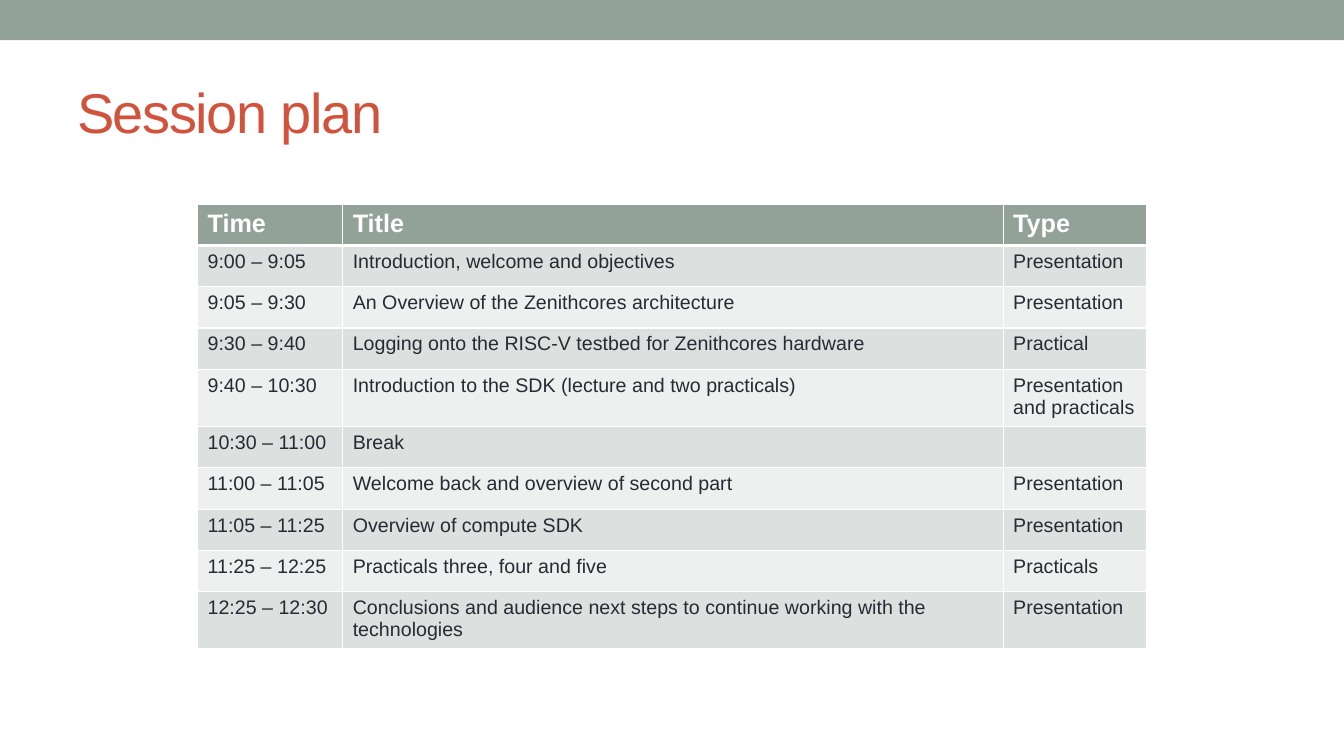
from lxml.etree import fromstring
from pptx import Presentation
from pptx.dml.color import RGBColor
from pptx.enum.shapes import MSO_SHAPE
from pptx.enum.text import MSO_ANCHOR
from pptx.util import Inches, Pt

WIDE, HIGH = Inches(13.33), Inches(7.5)
SPACE = "http://schemas.openxmlformats.org/drawingml/2006/main"
SAGE, RUST, INK, WHITE = "93A299", "D2533C", "292934", "FFFFFF"
BANDS = ["DCE0DE", "EEF0EF"]
COLS = [1.44, 6.55, 1.42]
ROW = 0.41
TITLE = {"size": Pt(40), "name": "Arial", "bold": False}
HEAD = {"size": Pt(18), "name": "Arial", "bold": True}
BODY = {"size": Pt(14), "name": "Arial", "bold": False}
PLAN = [
    ("Time", "Title", "Type"),
    ("9:00 – 9:05", "Introduction, welcome and objectives", "Presentation"),
    ("9:05 – 9:30", "An Overview of the Zenithcores architecture", "Presentation"),
    ("9:30 – 9:40", "Logging onto the RISC-V testbed for Zenithcores hardware", "Practical"),
    ("9:40 – 10:30", "Introduction to the SDK (lecture and two practicals)",
     "Presentation and practicals"),
    ("10:30 – 11:00", "Break", ""),
    ("11:00 – 11:05", "Welcome back and overview of second part", "Presentation"),
    ("11:05 – 11:25", "Overview of compute SDK", "Presentation"),
    ("11:25 – 12:25", "Practicals three, four and five", "Practicals"),
    ("12:25 – 12:30",
     "Conclusions and audience next steps to continue working with the technologies",
     "Presentation"),
]


def paint(part, tone):
    part.fill.solid()
    part.fill.fore_color.rgb = RGBColor.from_string(tone)


def place(left, top, width, height):
    return int(left * WIDE), int(top * HIGH), int(width * WIDE), int(height * HIGH)


def write(frame, text, style, tone):
    para = frame.paragraphs[0]
    font = para.font
    if text:
        run = para.add_run()
        run.text = text
        font = run.font
    for key, value in style.items():
        setattr(font, key, value)
    font.color.rgb = RGBColor.from_string(tone)
    return font


def add_band(slide):
    band = slide.shapes.add_shape(MSO_SHAPE.RECTANGLE, *place(0, 0, 1, 0.053))
    band.shadow.inherit = False
    paint(band, SAGE)
    band.line.fill.background()


def add_title(slide, text):
    frame = slide.shapes.add_textbox(*place(0.05, 0.077, 0.9, 0.139)).text_frame
    frame.word_wrap = True
    frame.vertical_anchor = MSO_ANCHOR.MIDDLE
    font = write(frame, text, TITLE, RUST)
    font._element.set("spc", "-100")


def add_rules(cell, widths):
    props = cell._tc.get_or_add_tcPr()
    for spot, (side, width) in enumerate(widths.items()):
        rule = fromstring(
            f'<a:ln{side} xmlns:a="{SPACE}" w="{Pt(width)}"><a:solidFill>'
            f'<a:srgbClr val="{WHITE}"/></a:solidFill></a:ln{side}>')
        props.insert(spot, rule)


def add_plan(slide):
    area = place(0.147, 0.27, sum(COLS) / 13.33, ROW * len(PLAN) / 7.5)
    table = slide.shapes.add_table(len(PLAN), len(COLS), *area).table
    for col, width in zip(table.columns, COLS):
        col.width = Inches(width)
    for r, line in enumerate(PLAN):
        table.rows[r].height = Inches(ROW)
        style, tone, fill = (BODY, INK, BANDS[(r - 1) % 2]) if r else (HEAD, WHITE, SAGE)
        rules = {"L": 1, "R": 1, "T": 3 if r == 1 else 1, "B": 1 if r else 3}
        for c, text in enumerate(line):
            cell = table.cell(r, c)
            paint(cell, fill)
            add_rules(cell, rules)
            write(cell.text_frame, text, style, tone)


def main():
    deck = Presentation()
    deck.slide_width, deck.slide_height = WIDE, HIGH
    slide = deck.slides.add_slide(deck.slide_layouts[6])
    add_band(slide)
    add_title(slide, "Session plan")
    add_plan(slide)
    deck.save("out.pptx")


if __name__ == "__main__":
    main()
